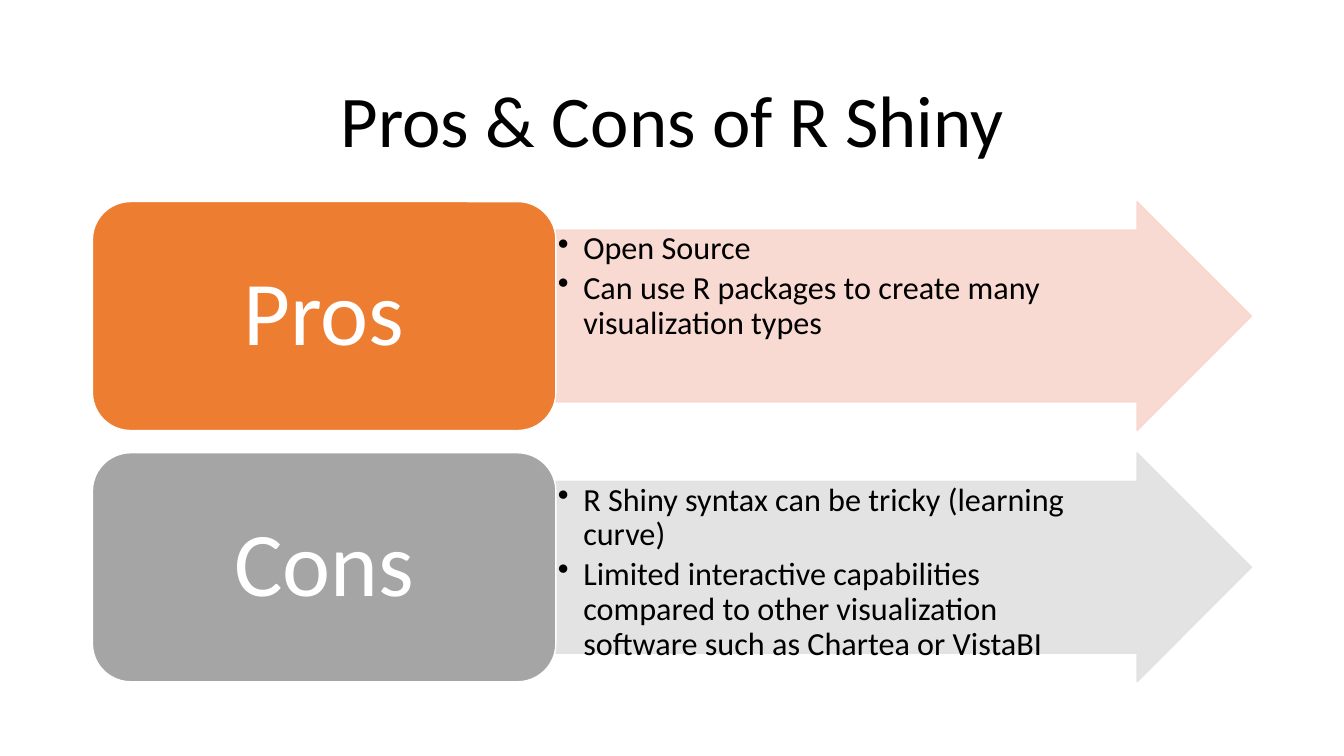
from lxml.etree import SubElement
from pptx import Presentation
from pptx.dml.color import RGBColor
from pptx.enum.shapes import MSO_SHAPE
from pptx.enum.text import MSO_ANCHOR, PP_ALIGN
from pptx.oxml.ns import qn
from pptx.util import Cm, Pt

COLORS = {
    "black": "000000",
    "white": "FFFFFF",
    "orange": "ED7D31",
    "pale orange": "F8D7CE",
    "gray": "A5A5A5",
    "pale gray": "E1E1E1",
}
LEFT, TOP = 2.33, 5.08
LABEL_WIDTH, ARROW_WIDTH = 11.68, 17.53
ROW_HEIGHT, ROW_PITCH = 5.77, 6.33

ROWS = [
    ("Pros", "orange", "pale orange", [
        "Open Source",
        "Can use R packages to create many visualization types",
    ]),
    ("Cons", "gray", "pale gray", [
        "R Shiny syntax can be tricky (learning curve)",
        "Limited interactive capabilities compared to other "
        "visualization software such as Chartea or VistaBI",
    ]),
]

TITLE_FRAME = {"word_wrap": True, "vertical_anchor": MSO_ANCHOR.MIDDLE}
LABEL_FRAME = {
    **TITLE_FRAME,
    "margin_left": Cm(0.69), "margin_right": Cm(0.69),
    "margin_top": Cm(0.36), "margin_bottom": Cm(0.36),
}
ARROW_FRAME = {
    "word_wrap": True, "vertical_anchor": MSO_ANCHOR.TOP,
    "margin_left": Cm(0.05), "margin_right": Cm(1.5),
    "margin_top": Cm(0.05), "margin_bottom": Cm(0.05),
}
CENTERED = {"alignment": PP_ALIGN.CENTER, "line_spacing": 0.9}
BULLETED = {"alignment": PP_ALIGN.LEFT, "line_spacing": 0.9, "space_after": Pt(3.5)}


def apply_format(target, values):
    for name, value in values.items():
        setattr(target, name, value)


def rgb(color):
    return RGBColor.from_string(COLORS[color])


def add_bullet(paragraph):
    properties = paragraph._p.get_or_add_pPr()
    properties.set("marL", str(Cm(0.64)))
    properties.set("indent", str(-Cm(0.64)))
    SubElement(properties, qn("a:buChar"), char="•")


def write_text(shape, lines, frame_format, paragraph_format, size, color, bullets=False):
    frame = shape.text_frame
    apply_format(frame, frame_format)
    frame.text = "\n".join(lines)
    for paragraph in frame.paragraphs:
        if bullets:
            add_bullet(paragraph)
        apply_format(paragraph, paragraph_format)
        apply_format(paragraph.font, {"name": "Calibri", "size": Pt(size)})
        paragraph.font.color.rgb = rgb(color)


def add_block(slide, kind, left, top, width, fill, line):
    shape = slide.shapes.add_shape(kind, Cm(left), Cm(top), Cm(width), Cm(ROW_HEIGHT))
    shape.shadow.inherit = False
    shape.fill.solid()
    shape.fill.fore_color.rgb = rgb(fill)
    shape.line.color.rgb = rgb(line)
    shape.line.width = Pt(1)
    return shape


def make_translucent(shape, percent):
    for color in shape._element.spPr.iter(qn("a:srgbClr")):
        SubElement(color, qn("a:alpha"), val=str(percent * 1000))


def add_title(slide, text):
    title = slide.shapes.title
    apply_format(title, {"left": Cm(LEFT), "top": Cm(1.55),
                         "width": Cm(29.21), "height": Cm(3.15)})
    write_text(title, [text], TITLE_FRAME, CENTERED, 52, "black")


def add_label(slide, top, text, color):
    label = add_block(slide, MSO_SHAPE.ROUNDED_RECTANGLE, LEFT, top,
                      LABEL_WIDTH, color, "white")
    write_text(label, [text], LABEL_FRAME, CENTERED, 65, "white")


def add_arrow(slide, top, points, color):
    arrow = add_block(slide, MSO_SHAPE.RIGHT_ARROW, LEFT + LABEL_WIDTH, top,
                      ARROW_WIDTH, color, color)
    arrow.adjustments[0] = 0.75
    arrow.adjustments[1] = 0.5
    make_translucent(arrow, 90)
    write_text(arrow, points, ARROW_FRAME, BULLETED, 23, "black", bullets=True)


def main():
    presentation = Presentation()
    presentation.slide_width = Cm(33.87)
    presentation.slide_height = Cm(19.05)
    slide = presentation.slides.add_slide(presentation.slide_layouts.get_by_name("Title Only"))

    add_title(slide, "Pros & Cons of R Shiny")
    for row, (heading, color, pale_color, points) in enumerate(ROWS):
        top = TOP + row * ROW_PITCH
        add_arrow(slide, top, points, pale_color)
        add_label(slide, top, heading, color)

    presentation.save("out.pptx")


if __name__ == "__main__":
    main()
